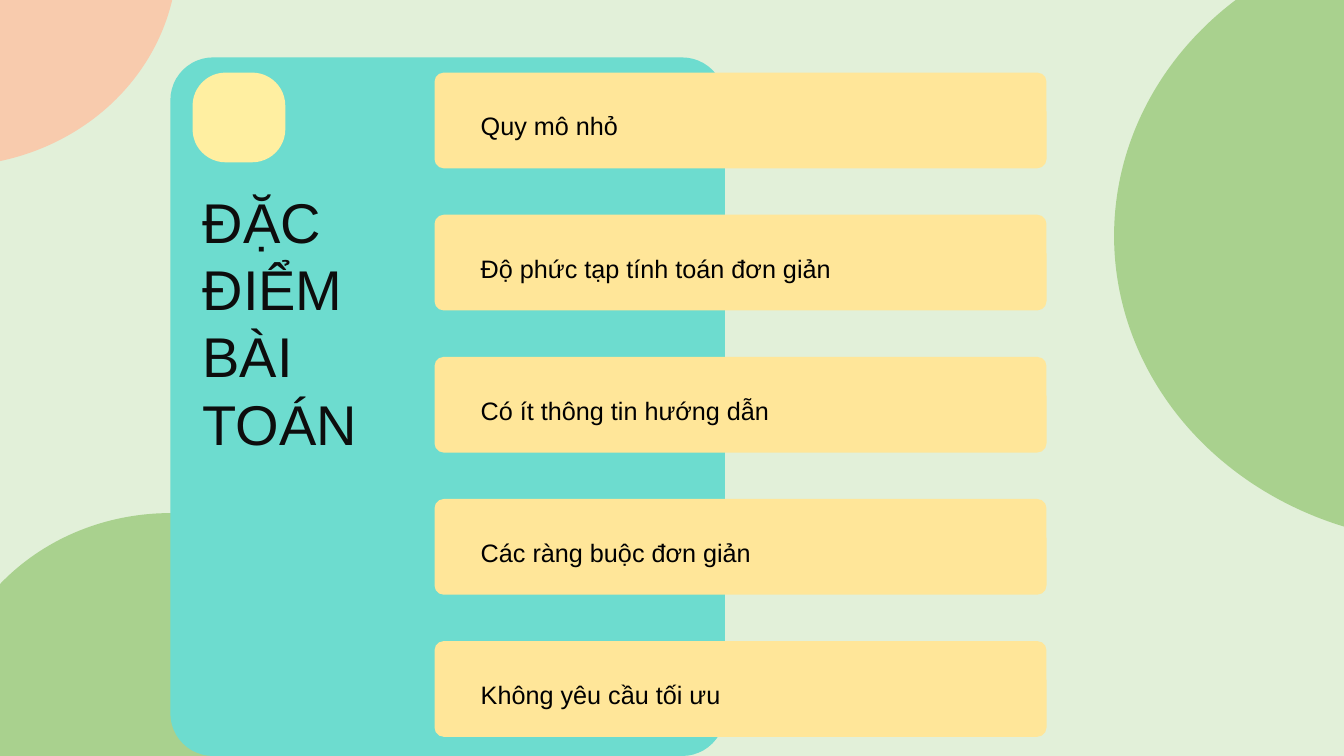
from pptx import Presentation
from pptx.dml.color import RGBColor
from pptx.enum.shapes import MSO_SHAPE as Shape
from pptx.enum.text import MSO_ANCHOR as Anchor, MSO_AUTO_SIZE as AutoSize, PP_ALIGN as Align
from pptx.util import Inches, Pt

MINT = RGBColor(0xE2, 0xF0, 0xD9)
PEACH = RGBColor(0xF8, 0xCB, 0xAD)
GREEN = RGBColor(0xA9, 0xD1, 0x8E)
TEAL = RGBColor(0x6D, 0xDC, 0xCF)
LEMON = RGBColor(0xFF, 0xEF, 0xA1)
GOLD = RGBColor(0xFF, 0xE6, 0x99)
BLACK = RGBColor(0x00, 0x00, 0x00)
INK = RGBColor(0x0D, 0x0D, 0x0D)

TRAITS = [
    "Quy mô nhỏ",
    "Độ phức tạp tính toán đơn giản",
    "Có ít thông tin hướng dẫn",
    "Các ràng buộc đơn giản",
    "Không yêu cầu tối ưu",
]
FIRST_CARD_TOP = 0.72
CARD_PITCH = 1.41


class SlideBuilder:
    font_name = "Arial"

    def __init__(self, page):
        self.page = page
        fill = page.background.fill
        fill.solid()
        fill.fore_color.rgb = MINT

    def shape(self, kind, left, top, width, height, color, rounding=None):
        shape = self.page.shapes.add_shape(
            kind, Inches(left), Inches(top), Inches(width), Inches(height))
        shape.shadow.inherit = False
        shape.fill.solid()
        shape.fill.fore_color.rgb = color
        shape.line.fill.background()
        if rounding is not None:
            shape.adjustments[0] = rounding

    def circle(self, left, top, width, height, color):
        self.shape(Shape.OVAL, left, top, width, height, color)

    def panel(self, left, top, width, height, color, rounding):
        self.shape(Shape.ROUNDED_RECTANGLE, left, top, width, height, color, rounding)

    def set_text(self, box, words, size, color):
        frame = box.text_frame
        frame.text = words
        frame.word_wrap = True
        frame.auto_size = AutoSize.SHAPE_TO_FIT_TEXT
        frame.vertical_anchor = Anchor.TOP
        para = frame.paragraphs[0]
        para.alignment = Align.LEFT
        para.font.name = self.font_name
        para.font.size = Pt(size)
        para.font.color.rgb = color

    def label(self, left, top, width, height, words):
        box = self.page.shapes.add_textbox(
            Inches(left), Inches(top), Inches(width), Inches(height))
        self.set_text(box, words, 18, BLACK)

    def title(self, left, top, width, height, words):
        title = self.page.shapes.title
        title.left, title.top = Inches(left), Inches(top)
        title.width, title.height = Inches(width), Inches(height)
        self.set_text(title, words, 40, INK)
        # Bring the title in front of the panel
        title.element.getparent().append(title.element)


def main():
    deck = Presentation()
    deck.slide_width, deck.slide_height = Inches(13.33), Inches(7.5)
    slide = SlideBuilder(deck.slides.add_slide(deck.slide_layouts[5]))

    # Corner circles
    slide.circle(-2.76, -2.55, 4.52, 4.2, PEACH)
    slide.circle(11.05, -0.7, 6.67, 6.08, GREEN)
    slide.circle(-0.57, 5.09, 4.52, 4.19, GREEN)

    # Title panel
    slide.panel(1.69, 0.57, 5.5, 6.93, TEAL, 0.077)
    slide.panel(1.91, 0.72, 0.92, 0.89, LEMON, 0.369)
    slide.title(1.91, 1.81, 2.11, 2.79, "ĐẶC ĐIỂM BÀI TOÁN")

    # Trait cards
    for index, trait in enumerate(TRAITS):
        top = FIRST_CARD_TOP + index * CARD_PITCH
        slide.panel(4.31, top, 6.07, 0.95, GOLD, 0.097)
        slide.label(4.67, top + 0.33, 4.74, 0.4, trait)

    deck.save("out.pptx")


if __name__ == "__main__":
    main()
